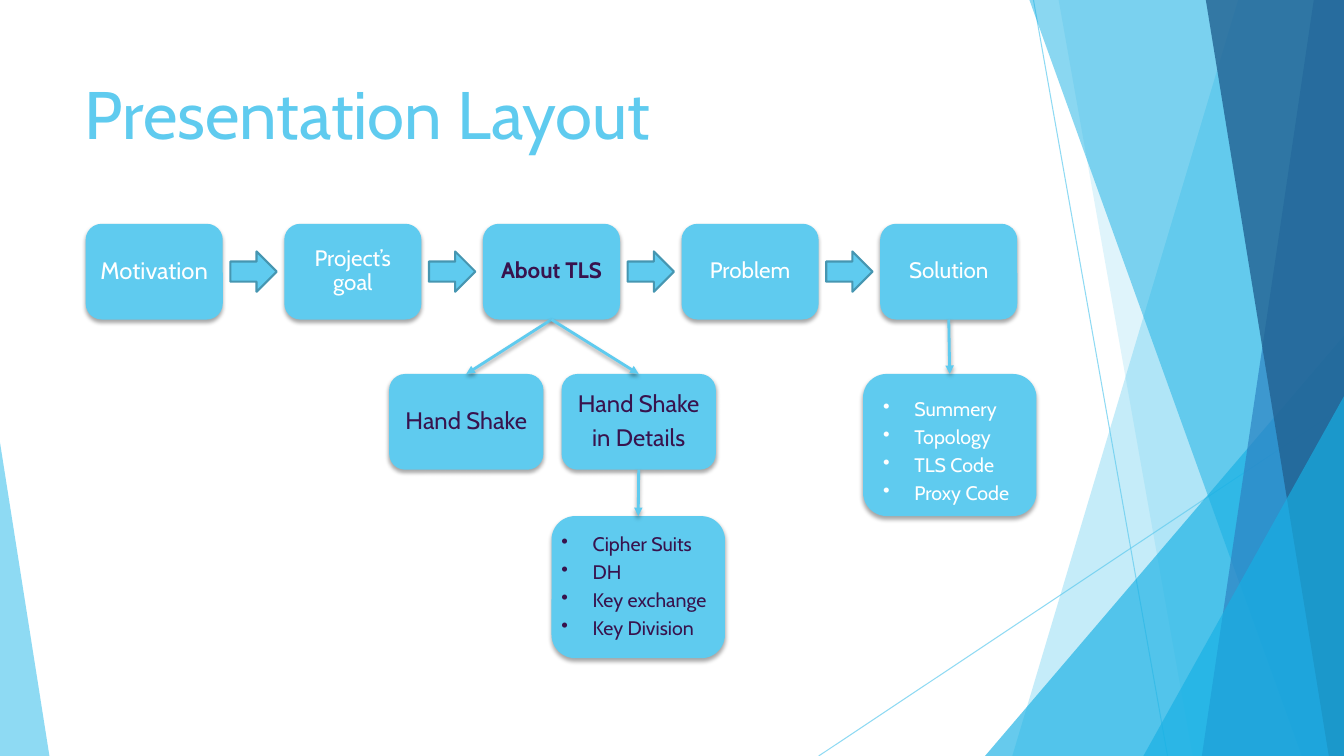
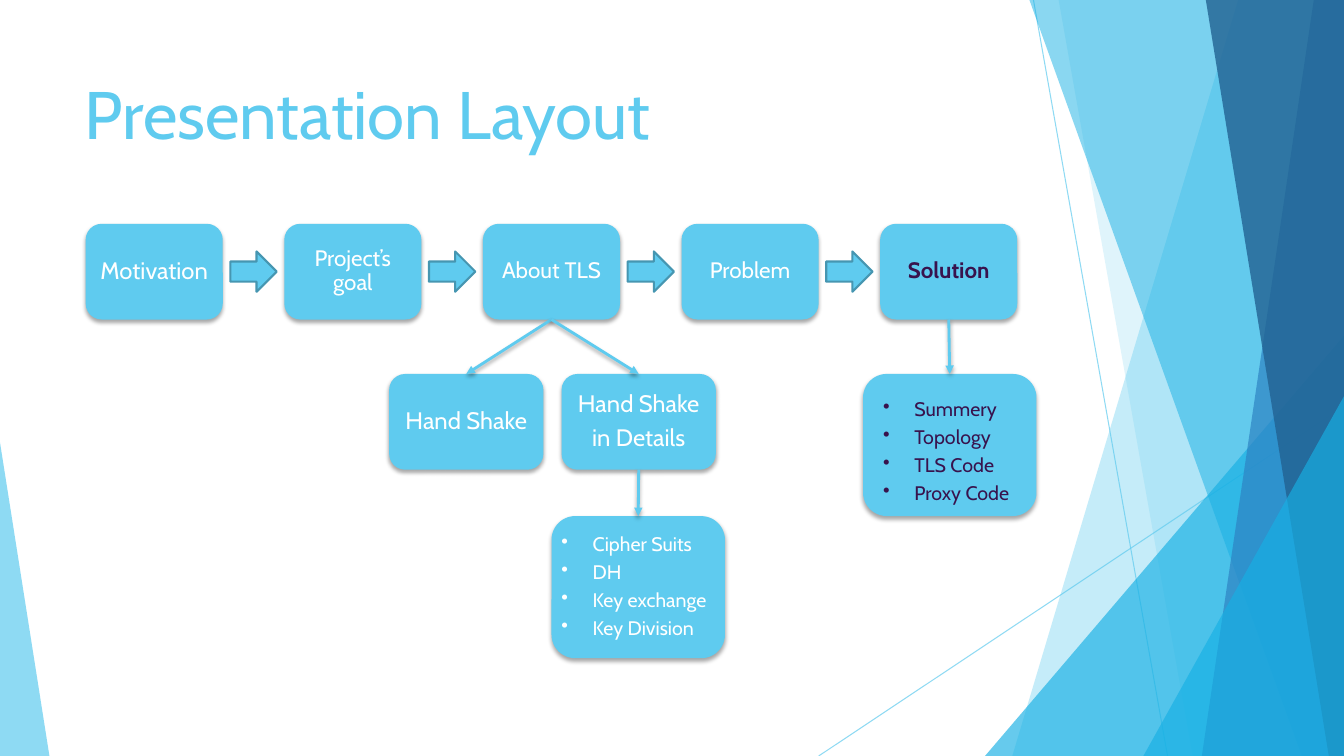
from lxml import etree
from pptx import Presentation
from pptx.dml.color import RGBColor
from pptx.enum.shapes import MSO_CONNECTOR, MSO_SHAPE
from pptx.enum.text import MSO_ANCHOR, PP_ALIGN
from pptx.oxml.ns import qn
from pptx.util import Inches, Pt

SKY = RGBColor(0x5F, 0xCB, 0xEF)
CYAN = RGBColor(0x17, 0xB0, 0xE4)
BLUE = RGBColor(0x2E, 0x83, 0xC3)
NAVY = RGBColor(0x22, 0x62, 0x92)
ARROW_EDGE = RGBColor(0x46, 0x96, 0xB1)
PLUM = RGBColor(0x38, 0x13, 0x4D)
WHITE = RGBColor(0xFF, 0xFF, 0xFF)
BLACK = "000000"
FONT = "Cabin"

SLIDE_W, SLIDE_H = 13.33, 7.5
STEP_X, STEP_Y, STEP_W, BOX_H = 0.85, 2.22, 1.36, 0.95
STEP_PITCH = 1.97
ARROW_W, ARROW_H = 0.46, 0.4
SUB_Y, SUB_W = 3.71, 1.53
LIST_W, LIST_H = 1.72, 1.41
INSET = 0.07

STEPS = [("Motivation", 17), ("Project’s goal", 16), ("About TLS", 16),
         ("Problem", 16), ("Solution", 16)]
CIPHER_ITEMS = ["Cipher Suits", "DH", "Key exchange", "Key Division"]
SOLUTION_ITEMS = ["Summery", "Topology", "TLS Code", "Proxy Code"]

# Top left x, bottom left x, bottom right x not needed: each band runs to the right edge.
BANDS_BACK = [(12.28, 10.04, SKY, 36), (10.5, 11.83, SKY, 20)]
BANDS_FRONT = [(10.21, 12.91, CYAN, 50), (13.03, 11.92, BLUE, 70),
               (11.96, 13.18, NAVY, 80)]


def set_alpha(sp, percent):
    color = next(sp.element.spPr.iter(qn("a:srgbClr")))
    etree.SubElement(color, qn("a:alpha"), val=str(percent * 1000))


def set_effects(sp, shadow=False):
    """Replace the theme's effects; call once fill and line are set."""
    effects = etree.SubElement(sp.element.spPr, qn("a:effectLst"))
    if shadow:
        outer = etree.SubElement(effects, qn("a:outerShdw"), blurRad=str(Pt(3)),
                                 dist=str(Pt(2)), dir="5400000", rotWithShape="0")
        color = etree.SubElement(outer, qn("a:srgbClr"), val=BLACK)
        etree.SubElement(color, qn("a:alpha"), val="35000")


def paint(sp, color, edge=None, shadow=False):
    sp.fill.solid()
    sp.fill.fore_color.rgb = color
    if edge is None:
        sp.line.fill.background()
    else:
        sp.line.color.rgb = edge
        sp.line.width = Pt(1.5)
    set_effects(sp, shadow)


def add_preset(slide, kind, x, y, w, h):
    return slide.shapes.add_shape(kind, Inches(x), Inches(y), Inches(w), Inches(h))


def add_line(slide, x1, y1, x2, y2, width):
    line = slide.shapes.add_connector(MSO_CONNECTOR.STRAIGHT, Inches(x1), Inches(y1),
                                      Inches(x2), Inches(y2))
    line.line.color.rgb = SKY
    line.line.width = Pt(width)
    return line


def add_run(p, text, size, color, bold=False):
    r = p.add_run()
    r.text = text
    r.font.name = FONT
    r.font.size = Pt(size)
    r.font.bold = bold
    r.font.color.rgb = color


def add_hairline(slide, x1, y1, x2, y2):
    line = add_line(slide, x1, y1, x2, y2, 0.75)
    set_alpha(line, 70)
    set_effects(line)


def add_band(slide, top_x, bottom_x, color, alpha):
    """Fill from a slanted edge to the right side of the slide."""
    builder = slide.shapes.build_freeform(Inches(top_x), 0)
    corners = [(SLIDE_W, 0), (SLIDE_W, SLIDE_H), (bottom_x, SLIDE_H)]
    builder.add_line_segments([(Inches(x), Inches(y)) for x, y in corners], close=True)
    sp = builder.convert_to_shape()
    paint(sp, color)
    set_alpha(sp, alpha)


def add_corner(slide, x, y, w, apex, color, alpha):
    """Triangle standing on the bottom edge; apex 0 is left, 1 is right."""
    sp = add_preset(slide, MSO_SHAPE.ISOSCELES_TRIANGLE, x, y, w, SLIDE_H - y)
    sp.adjustments[0] = apex
    paint(sp, color)
    set_alpha(sp, alpha)


def add_backdrop(slide):
    add_hairline(slide, 10.25, 0, 11.58, SLIDE_H)
    add_hairline(slide, SLIDE_W, 4.03, 8.12, SLIDE_H)
    for band in BANDS_BACK:
        add_band(slide, *band)
    add_corner(slide, 9.77, 3.33, 3.56, 1, CYAN, 66)
    for band in BANDS_FRONT:
        add_band(slide, *band)
    add_corner(slide, 11.34, 3.93, 1.99, 1, CYAN, 66)
    add_corner(slide, 0, 4.39, 0.49, 0, SKY, 70)


def add_title(slide, text):
    box = slide.shapes.add_textbox(Inches(0.74), Inches(0.67), Inches(9.4), Inches(1.44))
    tf = box.text_frame
    tf.word_wrap = True
    add_run(tf.paragraphs[0], text, 48, SKY)


def add_bullet(p):
    pPr = p._p.get_or_add_pPr()
    pPr.set("marL", str(Inches(0.31)))
    pPr.set("indent", str(-Inches(0.31)))
    etree.SubElement(pPr, qn("a:buChar"), char="•")


def add_box(slide, x, y, w, h, lines, size, color, bold=False, bullets=False,
            left=INSET, top=INSET):
    sp = add_preset(slide, MSO_SHAPE.ROUNDED_RECTANGLE, x, y, w, h)
    paint(sp, SKY, shadow=True)
    tf = sp.text_frame
    tf.word_wrap = True
    tf.vertical_anchor = MSO_ANCHOR.MIDDLE
    tf.margin_left, tf.margin_top = Inches(left), Inches(top)
    tf.margin_right = Inches(min(left, INSET))
    tf.margin_bottom = Inches(INSET)
    for i, text in enumerate(lines):
        p = tf.add_paragraph() if i else tf.paragraphs[0]
        if bullets:
            add_bullet(p)
        p.alignment = PP_ALIGN.LEFT if bullets else PP_ALIGN.CENTER
        p.line_spacing = 0.9
        p.space_after = Pt(0.35 * size)
        add_run(p, text, size, color, bold)
    return sp


def add_block_arrow(slide, x, y):
    sp = add_preset(slide, MSO_SHAPE.RIGHT_ARROW, x, y, ARROW_W, ARROW_H)
    paint(sp, SKY, edge=ARROW_EDGE)


def link_down(slide, upper, lower):
    """Arrow from the bottom of one box to the top of another."""
    line = add_line(slide, 0, 0, 1, 1, 2)
    line.begin_connect(upper, 2)
    line.end_connect(lower, 0)
    etree.SubElement(line.line._get_or_add_ln(), qn("a:tailEnd"), type="triangle")
    set_effects(line, shadow=True)


def add_flow(slide, active):
    """Draw the steps and their details, with the active step's branch in plum."""
    def branch_color(step):
        return PLUM if step == active else WHITE

    boxes = {}
    for i, (step, size) in enumerate(STEPS):
        x = STEP_X + i * STEP_PITCH
        boxes[step] = add_box(slide, x, STEP_Y, STEP_W, BOX_H, [step], size,
                              branch_color(step), bold=step == active)
        if i:
            gap = STEP_PITCH - STEP_W
            add_block_arrow(slide, x - (gap + ARROW_W) / 2,
                            STEP_Y + (BOX_H - ARROW_H) / 2)

    tls, solution = branch_color("About TLS"), branch_color("Solution")
    shake = add_box(slide, 3.86, SUB_Y, SUB_W, BOX_H, ["Hand Shake"], 17, tls)
    details = add_box(slide, 5.57, SUB_Y, SUB_W, BOX_H,
                      ["Hand Shake", "in Details"], 17, tls)
    ciphers = add_box(slide, 5.47, 5.12, LIST_W, LIST_H, CIPHER_ITEMS, 14, tls,
                      bullets=True, left=0.03)
    topics = add_box(slide, 8.56, SUB_Y, LIST_W, LIST_H, SOLUTION_ITEMS, 14, solution,
                     bullets=True, left=0.13, top=0.21)

    for upper, lower in [(boxes["About TLS"], shake), (boxes["About TLS"], details),
                         (details, ciphers), (boxes["Solution"], topics)]:
        link_down(slide, upper, lower)


def main():
    prs = Presentation()
    prs.slide_width, prs.slide_height = Inches(SLIDE_W), Inches(SLIDE_H)
    for active in ("About TLS", "Solution"):
        slide = prs.slides.add_slide(prs.slide_layouts[6])
        add_backdrop(slide)
        add_title(slide, "Presentation Layout")
        add_flow(slide, active)
    prs.save("out.pptx")


if __name__ == "__main__":
    main()
